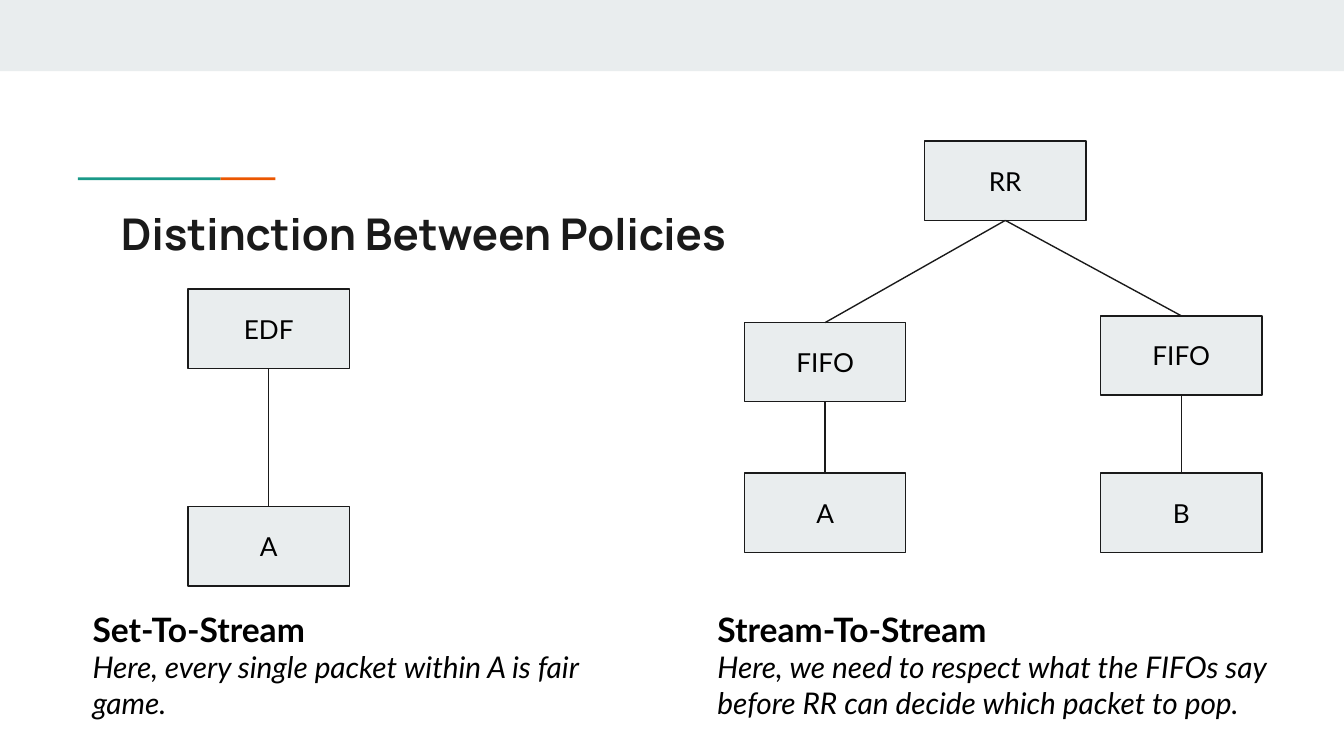
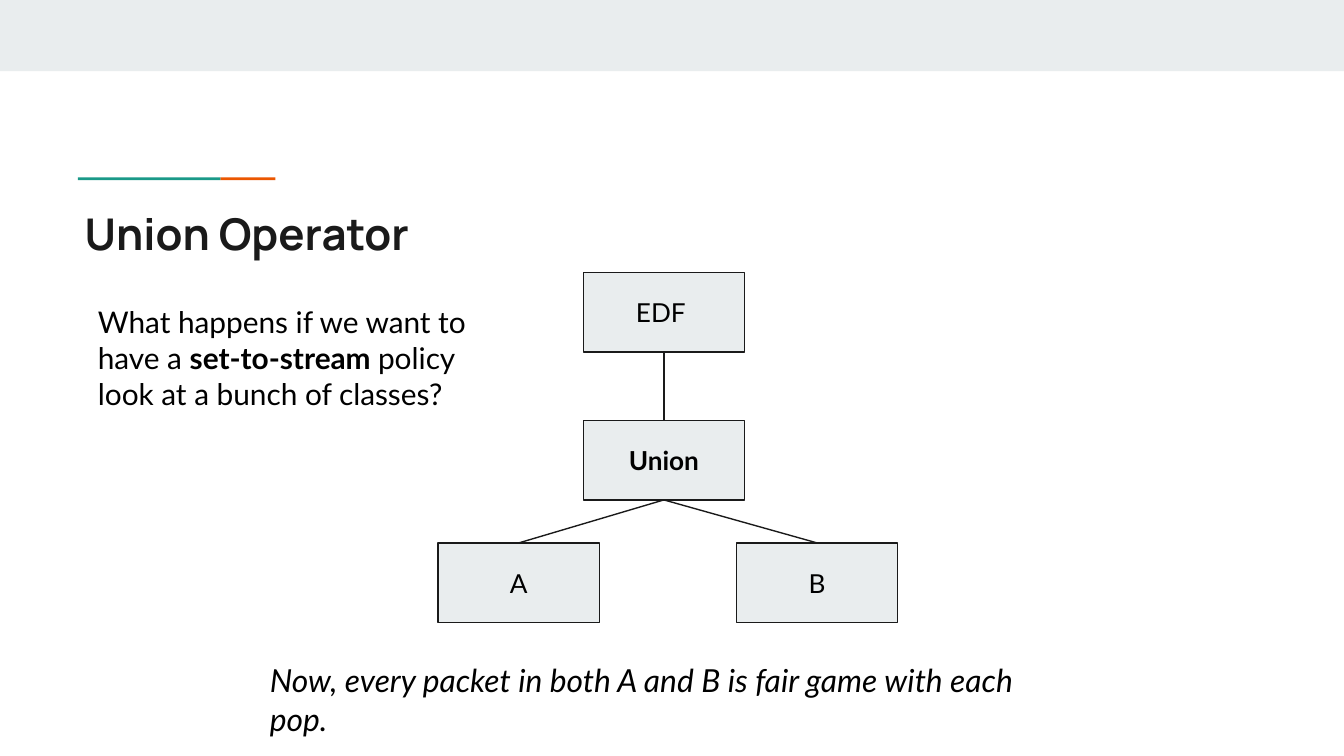
from lxml import etree
from pptx import Presentation
from pptx.dml.color import RGBColor
from pptx.enum.shapes import MSO_CONNECTOR, MSO_SHAPE
from pptx.enum.text import MSO_ANCHOR, MSO_AUTO_SIZE, PP_ALIGN
from pptx.oxml.ns import qn
from pptx.util import Inches, Pt

RECT = MSO_SHAPE.RECTANGLE
STRAIGHT = MSO_CONNECTOR.STRAIGHT
TOP, MIDDLE = MSO_ANCHOR.TOP, MSO_ANCHOR.MIDDLE
LEFT, CENTER = PP_ALIGN.LEFT, PP_ALIGN.CENTER
NO_FIT, GROW = MSO_AUTO_SIZE.NONE, MSO_AUTO_SIZE.SHAPE_TO_FIT_TEXT

COLORS = {"band": "E9EDEE", "teal": "1A9988", "orange": "EB5600",
          "ink": "1A1A1A", "text": "000000"}
BODY_FONT, TITLE_FONT = "Lato", "Manrope"
NODE_W, NODE_H = 1.2, 0.59
TITLE_ONLY = 5
SITE_TOP, SITE_BOTTOM = 0, 2


def rgb(name):
    return RGBColor.from_string(COLORS[name])


def add_run(p, text, size=16, font=BODY_FONT, color="text", bold=False, italic=False):
    r = p.add_run()
    r.text = text
    f = r.font
    f.size, f.name, f.bold, f.italic = Pt(size), font, bold, italic
    f.color.rgb = rgb(color)


def set_frame(tf, anchor=TOP, fit=NO_FIT):
    tf.word_wrap = True
    tf.auto_size = fit
    tf.vertical_anchor = anchor
    tf.margin_left = tf.margin_right = tf.margin_top = tf.margin_bottom = Inches(0.1)


class Deck:
    """Holds the presentation, its style and the current slide."""

    def __init__(self):
        self.prs = Presentation()
        self.prs.slide_width = Inches(10)
        self.prs.slide_height = Inches(10) * 9 // 16
        self.slide = None

    def new_slide(self, title, left):
        self.slide = self.prs.slides.add_slide(self.prs.slide_layouts[TITLE_ONLY])
        self.rect(0, 0, 10, 0.53, "band")
        self.rect(1.64, 1.32, 0.41, 0.02, "orange")
        self.rect(0.58, 1.32, 1.06, 0.02, "teal")
        sp = self.slide.shapes.title
        sp.left, sp.top, sp.width, sp.height = map(Inches, (left, 1.44, 8.41, 0.59))
        set_frame(sp.text_frame)
        p = sp.text_frame.paragraphs[0]
        p.alignment = LEFT
        add_run(p, title, size=23.4, font=TITLE_FONT, color="ink", bold=True)

    def rect(self, x, y, w, h, fill):
        sp = self.slide.shapes.add_shape(RECT, *map(Inches, (x, y, w, h)))
        sp.shadow.inherit = False
        sp.fill.solid()
        sp.fill.fore_color.rgb = rgb(fill)
        sp.line.fill.background()
        return sp

    def node(self, text, x, y, bold=False):
        sp = self.rect(x, y, NODE_W, NODE_H, "band")
        sp.line.color.rgb = rgb("ink")
        sp.line.width = Pt(0.75)
        set_frame(sp.text_frame, anchor=MIDDLE)
        p = sp.text_frame.paragraphs[0]
        p.alignment = CENTER
        add_run(p, text, size=14, bold=bold)
        return sp

    def link(self, parent, *children):
        """Join the bottom of a node to the top of each child."""
        for child in children:
            line = self.slide.shapes.add_connector(STRAIGHT, 0, 0, 0, 0)
            line.begin_connect(parent, SITE_BOTTOM)
            line.end_connect(child, SITE_TOP)
            line.line.color.rgb = rgb("ink")
            line.line.width = Pt(0.75)
            etree.SubElement(line._element.spPr, qn("a:effectLst"))

    def text(self, x, y, w, h, *paragraphs):
        """Add a text box; each paragraph is a list of (text, format) runs."""
        sp = self.slide.shapes.add_textbox(*map(Inches, (x, y, w, h)))
        tf = sp.text_frame
        set_frame(tf, fit=GROW)
        for i, runs in enumerate(paragraphs):
            p = tf.add_paragraph() if i else tf.paragraphs[0]
            for text, style in runs:
                add_run(p, text, **style)

    def caption(self, x, w, h, heading, body):
        self.text(x, 4.43, w, h,
                  [(heading, {"size": 18, "bold": True})],
                  [(body, {"italic": True})])


def policies_slide(deck):
    deck.new_slide("Distinction Between Policies", 0.8)
    deck.link(deck.node("EDF", 1.4, 2.15), deck.node("A", 1.4, 3.77))
    deck.caption(0.59, 4.35, 0.77, "Set-To-Stream",
                 "Here, every single packet within A is fair game.")

    rr = deck.node("RR", 6.88, 1.05)
    for name, x, y in (("A", 5.54, 2.4), ("B", 8.19, 2.35)):
        fifo = deck.node("FIFO", x, y)
        deck.link(rr, fifo)
        deck.link(fifo, deck.node(name, x, 3.52))
    deck.caption(5.24, 4.47, 1.04, "Stream-To-Stream",
                 "Here, we need to respect what the FIFOs say before RR can "
                 "decide which packet to pop.")


def union_slide(deck):
    deck.new_slide("Union Operator", 0.53)
    deck.text(0.63, 2.16, 3.28, 1.01,
              [("What happens if we want to have a ", {}),
               ("set-to-stream ", {"bold": True}),
               ("policy look at a bunch of classes?", {})])
    edf = deck.node("EDF ", 4.34, 2.03)
    union = deck.node("Union", 4.34, 3.13, bold=True)
    deck.link(edf, union)
    deck.link(union, deck.node("A", 3.26, 4.04), deck.node("B", 5.48, 4.04))
    deck.text(1.91, 4.82, 6.17, 0.49,
              [("Now, every packet in both A and B is fair game with each pop.",
                {"size": 17, "italic": True})])


def main():
    deck = Deck()
    policies_slide(deck)
    union_slide(deck)
    deck.prs.save("out.pptx")


if __name__ == "__main__":
    main()
